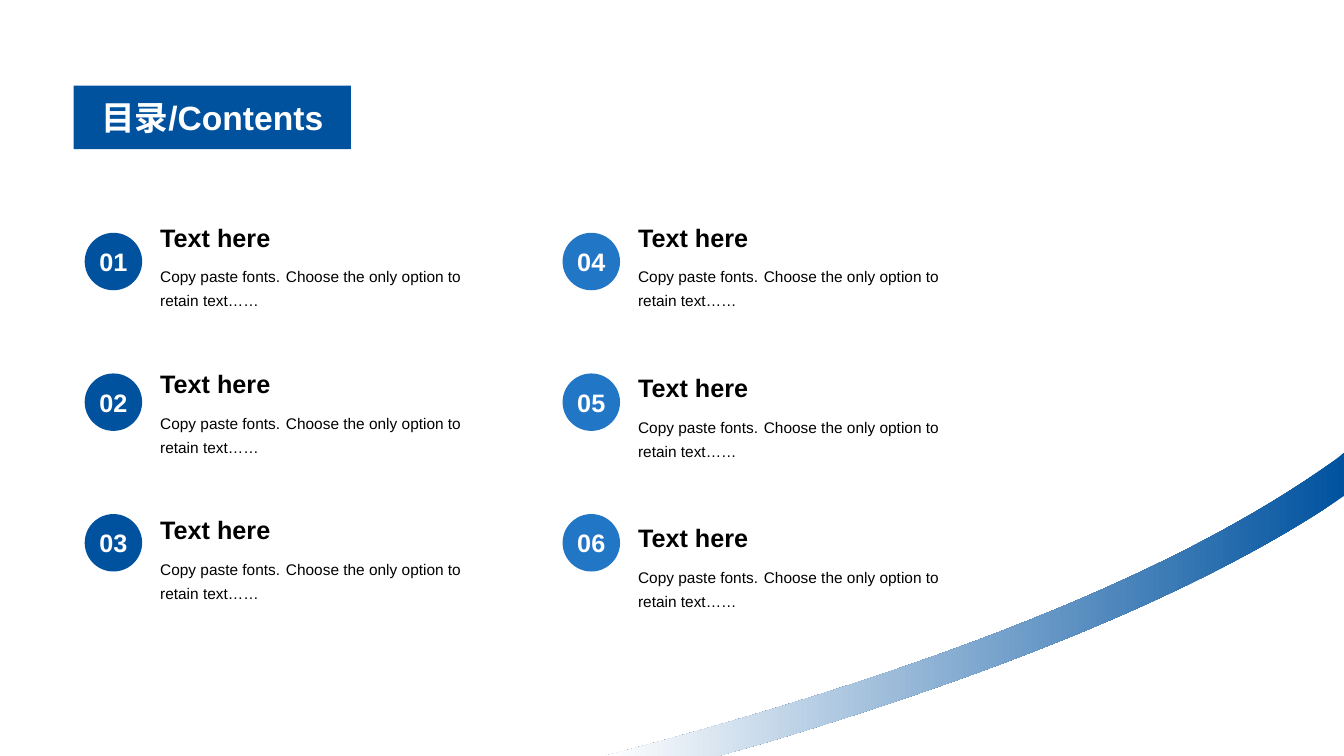
import dataclasses

import pptx
import pptx.dml.color
import pptx.enum.shapes
import pptx.enum.text
import pptx.oxml
import pptx.util
from pptx.util import Inches


@dataclasses.dataclass(frozen=True)
class Theme:
    font: str = "Arial"
    dark_blue: str = "00529F"
    light_blue: str = "2276C6"
    white: str = "FFFFFF"
    black: str = "000000"
    title_size: int = 24
    heading_size: int = 18
    body_size: int = 11
    gap_size: int = 3


THEME = Theme()
BADGE_TOP, BADGE_PITCH, BADGE_SIZE = 2.31, 1.395, 0.57
HEADING_TOP, HEADING_HEIGHT = 2.07, 0.48
COLUMNS = [
    {"badge_left": 0.84, "text_left": 1.49, "pitch": 1.45, "color": THEME.dark_blue},
    {"badge_left": 5.58, "text_left": 6.23, "pitch": 1.49, "color": THEME.light_blue},
]
ROWS = 3
DESCRIPTION = [
    ("Copy paste fonts.", THEME.body_size),
    (" ", THEME.gap_size),
    (" Choose the only option to retain text……", THEME.body_size),
]


def rgb(value):
    return pptx.dml.color.RGBColor.from_string(value)


def add_run(paragraph, text, size, color, bold=False):
    run = paragraph.add_run()
    run.text = text
    run.font.name = THEME.font
    run.font.size = pptx.util.Pt(size)
    run.font.bold = bold
    run.font.color.rgb = rgb(color)


def fill_plain(shape, color):
    shape.fill.solid()
    shape.fill.fore_color.rgb = rgb(color)
    shape.line.fill.background()


def write_centered(shape, text, size, wrap):
    frame = shape.text_frame
    frame.word_wrap = wrap
    frame.auto_size = pptx.enum.text.MSO_AUTO_SIZE.NONE
    frame.vertical_anchor = pptx.enum.text.MSO_ANCHOR.MIDDLE
    paragraph = frame.paragraphs[0]
    paragraph.alignment = pptx.enum.text.PP_ALIGN.CENTER
    add_run(paragraph, text, size, THEME.white, bold=True)


def format_title(slide, text):
    title = slide.shapes.title
    title.left, title.top = Inches(0.73), Inches(0.85)
    title.width, title.height = Inches(2.75), Inches(0.63)
    title.element.spPr.append(pptx.oxml.parse_xml(
        '<a:prstGeom xmlns:a="http://schemas.openxmlformats.org/drawingml/2006/main"'
        ' prst="roundRect"><a:avLst><a:gd name="adj" fmla="val 19400"/></a:avLst>'
        '</a:prstGeom>'))
    fill_plain(title, THEME.dark_blue)
    write_centered(title, text, THEME.title_size, wrap=True)


def curve_points(start, control_one, control_two, end, steps=40):
    points = []
    for step in range(1, steps + 1):
        t = step / steps
        weights = ((1 - t) ** 3, 3 * t * (1 - t) ** 2, 3 * t * t * (1 - t), t ** 3)
        anchors = (start, control_one, control_two, end)
        points.append(tuple(
            sum(weight * anchor[axis] for weight, anchor in zip(weights, anchors))
            for axis in (0, 1)))
    return points


def add_swoosh(slide):
    outline = [(13.33, 4.92), (13.12, 5.06)]
    outline += curve_points((13.12, 5.06), (11.93, 5.82), (10.16, 6.6), (7.58, 7.37))
    outline += [(7.12, 7.5), (6, 7.5), (6.23, 7.44)]
    outline += curve_points((6.23, 7.44), (9.8, 6.49), (11.97, 5.49), (13.26, 4.55))
    outline.append((13.33, 4.49))
    vertices = [(Inches(x), Inches(y)) for x, y in outline]
    builder = slide.shapes.build_freeform(*vertices[0])
    builder.add_line_segments(vertices[1:], close=True)
    swoosh = builder.convert_to_shape()
    swoosh.shadow.inherit = False
    swoosh.line.fill.background()
    swoosh.fill.gradient()
    swoosh.fill.gradient_angle = 180
    stops = swoosh.fill.gradient_stops
    for stop, position, color in zip(stops, (0, 1), (THEME.dark_blue, THEME.white)):
        stop.position = position
        stop.color.rgb = rgb(color)


def add_text(slide, left, top, width, height, runs, bold=False, bottom=False, spacing=None):
    box = slide.shapes.add_textbox(Inches(left), Inches(top), Inches(width), Inches(height))
    frame = box.text_frame
    frame.word_wrap = True
    anchors = pptx.enum.text.MSO_ANCHOR
    frame.vertical_anchor = anchors.BOTTOM if bottom else anchors.TOP
    paragraph = frame.paragraphs[0]
    paragraph.line_spacing = spacing
    for text, size in runs:
        add_run(paragraph, text, size, THEME.black, bold)


def add_badge(slide, left, top, number, color):
    badge = slide.shapes.add_shape(
        pptx.enum.shapes.MSO_SHAPE.OVAL,
        Inches(left), Inches(top), Inches(BADGE_SIZE), Inches(BADGE_SIZE))
    badge.shadow.inherit = False
    fill_plain(badge, color)
    write_centered(badge, f"{number:02d}", THEME.heading_size, wrap=False)


def add_entry(slide, column, row, number):
    left = column["text_left"]
    top = HEADING_TOP + row * column["pitch"]
    add_text(slide, left, top, 1.99, HEADING_HEIGHT,
             [("Text here", THEME.heading_size)], bold=True, bottom=True)
    add_text(slide, left, top + HEADING_HEIGHT, 3.28, 0.77, DESCRIPTION, spacing=1.3)
    add_badge(slide, column["badge_left"], BADGE_TOP + row * BADGE_PITCH,
              number, column["color"])


def main():
    presentation = pptx.Presentation()
    presentation.slide_width = Inches(13.33)
    presentation.slide_height = Inches(7.5)
    slide = presentation.slides.add_slide(presentation.slide_layouts.get_by_name("Title Only"))
    format_title(slide, "目录/Contents")
    add_swoosh(slide)
    for column_index, column in enumerate(COLUMNS):
        for row in range(ROWS):
            add_entry(slide, column, row, column_index * ROWS + row + 1)
    presentation.save("out.pptx")


if __name__ == "__main__":
    main()
